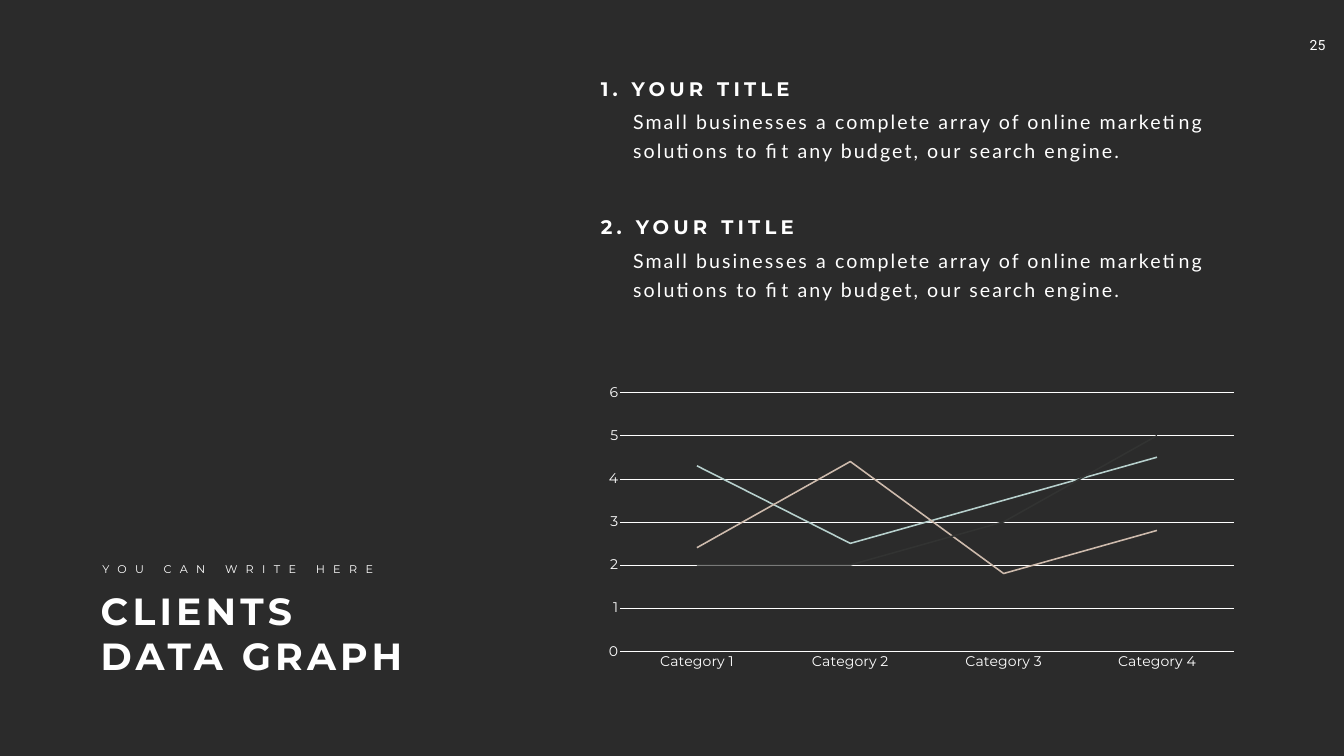
from dataclasses import dataclass

from pptx import Presentation
from pptx import util as u
from pptx.chart.data import CategoryChartData
from pptx.dml.color import RGBColor
from pptx.enum import chart as charts, text as texts

COLORS = {
    "background": "2B2B2B",
    "white": "FFFFFF",
    "mint": "B7D0CD",
    "sand": "CEBBAD",
    "charcoal": "323332",
}
HEADING_FONT = "Montserrat"
BODY = ("Small businesses a complete array of online marketing solutions "
        "to fit any budget, our search engine.")


@dataclass
class Point:
    title: str
    body: str


@dataclass
class Series:
    name: str
    values: tuple[float, ...]
    color: str


POINTS = [Point("1. YOUR TITLE", BODY), Point("2. YOUR TITLE", BODY)]
POINT_TOP, POINT_STEP = 1.47, 2.75

CATEGORIES = [f"Category {number}" for number in range(1, 5)]
SERIES = [
    Series("Series 1", (4.3, 2.5, 3.5, 4.5), "mint"),
    Series("Series 2", (2.4, 4.4, 1.8, 2.8), "sand"),
    Series("Series 3", (2, 2, 3, 5), "charcoal"),
]


def color(name: str) -> RGBColor:
    return RGBColor.from_string(COLORS[name])


def style_font(font, size: float, name: str, bold: bool = False) -> None:
    font.size = u.Pt(size)
    font.name = name
    font.bold = bold
    font.color.rgb = color("white")


def add_text(slide, text: str, left: float, top: float, width: float,
             height: float, *, size: float, font: str = HEADING_FONT,
             bold: bool = False, tracking: float = 0,
             line_spacing: float | None = None, wrap: bool = True,
             align=texts.PP_ALIGN.LEFT) -> None:
    """Add a one-paragraph text box; tracking and line spacing in points."""
    shape = slide.shapes.add_textbox(u.Inches(left), u.Inches(top),
                                     u.Inches(width), u.Inches(height))
    frame = shape.text_frame
    frame.word_wrap = wrap
    paragraph = frame.paragraphs[0]
    paragraph.alignment = align
    if line_spacing:
        paragraph.line_spacing = u.Pt(line_spacing)
    run = paragraph.add_run()
    run.text = text
    style_font(run.font, size, font, bold)
    if tracking:
        run.font._element.set("spc", str(int(tracking * 100)))


def add_point(slide, point: Point, top: float) -> None:
    add_text(slide, point.body, 12.46, top + 0.57, 12.26, 1.19, size=28,
             font="Lato", tracking=3, line_spacing=40.8)
    add_text(slide, point.title, 11.82, top, 6.86, 0.57, size=28,
             bold=True, tracking=6)


def style_line(line, name: str, width: float) -> None:
    line.color.rgb = color(name)
    line.width = u.Pt(width)


def add_line_chart(slide, left: float, top: float, width: float,
                   height: float) -> None:
    data = CategoryChartData()
    data.categories = CATEGORIES
    for series in SERIES:
        data.add_series(series.name, series.values)
    chart = slide.shapes.add_chart(
        charts.XL_CHART_TYPE.LINE, u.Inches(left), u.Inches(top),
        u.Inches(width), u.Inches(height), data).chart
    chart.has_legend = False
    chart.has_title = False
    style_font(chart.font, 20, HEADING_FONT)
    chart.plots[0].vary_by_categories = False

    # Axes and gridlines
    for axis in (chart.category_axis, chart.value_axis):
        axis.major_tick_mark = charts.XL_TICK_MARK.NONE
        axis.minor_tick_mark = charts.XL_TICK_MARK.NONE
        style_font(axis.tick_labels.font, 20, HEADING_FONT)
    style_line(chart.category_axis.format.line, "white", 0.75)
    value_axis = chart.value_axis
    value_axis.minimum_scale, value_axis.maximum_scale = 0, 6
    value_axis.major_unit = 1
    value_axis.format.line.fill.background()
    value_axis.has_major_gridlines = True
    style_line(value_axis.major_gridlines.format.line, "white", 0.75)

    # Series lines
    for series, plotted in zip(SERIES, chart.plots[0].series):
        plotted.smooth = False
        plotted.marker.style = charts.XL_MARKER_STYLE.NONE
        style_line(plotted.format.line, series.color, 2.25)


def main() -> None:
    presentation = Presentation()
    presentation.slide_width = u.Inches(26.66)
    presentation.slide_height = u.Inches(15)
    slide = presentation.slides.add_slide(presentation.slide_layouts[6])
    slide.background.fill.solid()
    slide.background.fill.fore_color.rgb = color("background")

    # Page number
    add_text(slide, "25", 25.63, 0.67, 1.01, 0.54, size=20, font="Roboto",
             align=texts.PP_ALIGN.CENTER)

    # Slide title and the line above it
    add_text(slide, "CLIENTS DATA GRAPH", 1.9, 11.61, 6.77, 1.92, size=54,
             bold=True, tracking=6)
    add_text(slide, "YOU CAN WRITE HERE", 1.93, 11.11, 5.78, 0.37, size=16,
             tracking=12, wrap=False)

    # Chart and numbered points
    add_line_chart(slide, 11.82, 7.5, 12.91, 5.92)
    for index, point in enumerate(POINTS):
        add_point(slide, point, POINT_TOP + index * POINT_STEP)

    presentation.save("out.pptx")


if __name__ == "__main__":
    main()
